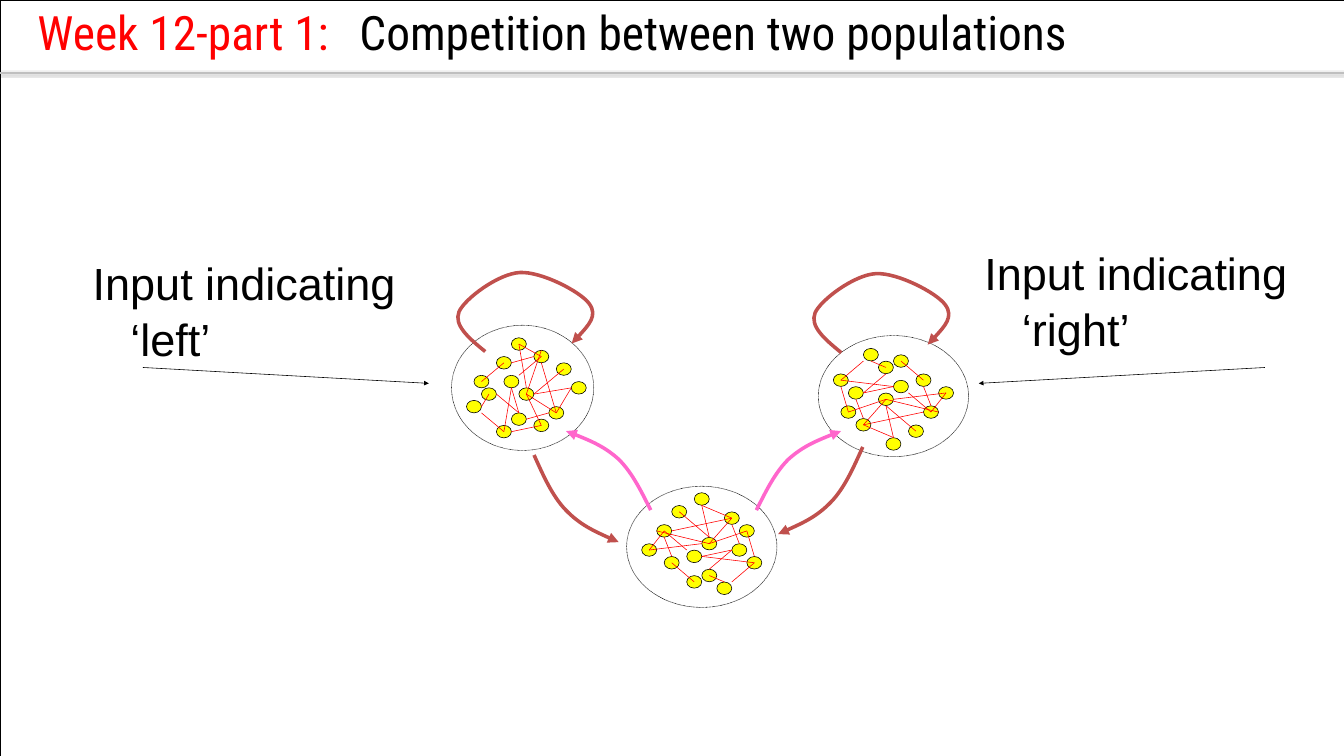
"""Build a slide on competition between two populations of neurons."""
from lxml import etree
from pptx import Presentation
from pptx.dml.color import RGBColor
from pptx.enum.dml import MSO_LINE
from pptx.enum.shapes import MSO_CONNECTOR, MSO_SHAPE
from pptx.enum.text import MSO_ANCHOR, MSO_AUTO_SIZE, PP_ALIGN
from pptx.oxml.ns import qn
from pptx.util import Cm, Pt

OVAL, RECT = MSO_SHAPE.OVAL, MSO_SHAPE.RECTANGLE
STRAIGHT, DOTS = MSO_CONNECTOR.STRAIGHT, MSO_LINE.ROUND_DOT
LEFT, TOP, FIXED = PP_ALIGN.LEFT, MSO_ANCHOR.TOP, MSO_AUTO_SIZE.NONE

WIDE, HIGH = 60.02, 33.76
COLORS = {"black": "000000", "red": "FF0000", "yellow": "FFFF00",
          "brick": "C0504D", "pink": "FF66CC", "grey": "BFBFBF"}
TITLE = [("Week 12-part 1:", "red"),
         ("\tCompetition between two populations", "black")]
COLS, ROWS = 20, 19
NODES = [(7, 3), (9, 5), (11, 4), (10, 17), (17, 9), (14, 7), (9, 10),
         (11, 8), (13, 15), (15, 12), (4, 12), (3, 7), (6, 14), (5, 9)]
LINKS = [((9, 11), (10, 16)), ((12, 9), (15, 12)), ((6, 14), (14, 12)),
         ((9, 11), (13, 15)), ((5, 10), (6, 13)), ((14, 8), (15, 11)),
         ((11, 4), (14, 7)), ((9, 6), (6, 9)), ((6, 4), (3, 7)),
         ((3, 8), (4, 12)), ((6, 9), (10, 8)), ((17, 9), (10, 10)),
         ((6, 14), (10, 16)), ((7, 4), (9, 5)), ((3, 7), (10, 8)),
         ((6, 14), (9, 10)), ((4, 12), (9, 10)), ((17, 9), (15, 12)),
         ((9, 10), (16, 12))]
NODE = (0.67, 0.56)
NETS = [((23.34, 17.32), (6.35, 5.59), 270),
        ((39.9, 17.69), (6.71, 5.41), 0),
        ((31.34, 24.42), (6.71, 5.41), 180)]
LOOP = [(-0.71, -0.58), (-1.42, -1.17), (-1.17, -1.78),
        (-0.91, -2.36), (0.58, -3.48), (1.55, -3.53),
        (2.51, -3.58), (4.27, -2.67), (4.65, -2.13),
        (5.03, -1.6), (4.45, -0.97), (3.86, -0.36)]
DOWN = [(0.41, 0.91), (0.81, 1.83), (1.42, 2.46),
        (2.06, 3.12), (2.92, 3.51), (3.78, 3.89)]
RISE = [(0.41, -0.81), (0.81, -1.65), (1.42, -2.26),
        (2.06, -2.84), (2.92, -3.2), (3.78, -3.53)]
CURVES = [(LOOP, (21.67, 15.7), 1, "brick"), (LOOP, (37.57, 15.75), 1, "brick"),
          (DOWN, (23.85, 20.32), 1, "brick"), (DOWN, (38.53, 19.96), -1, "brick"),
          (RISE, (33.78, 22.78), 1, "pink"), (RISE, (29.06, 22.78), -1, "pink")]
INPUTS = [("‘left’", (3.89, 11.28), (6.38, 16.41), (19.15, 17.12)),
          ("‘right’", (43.71, 10.82), (56.49, 16.41), (43.71, 17.12))]


def rgb(name):
    return RGBColor.from_string(COLORS[name])


def stroke(item, color, width):
    item.line.color.rgb = rgb(color)
    item.line.width = Pt(width)


def arrow(item):
    line = item.element.spPr.find(qn("a:ln"))
    etree.SubElement(line, qn("a:tailEnd"), type="triangle")


def shape(host, kind, mid, size, fill=None):
    (x, y), (w, h) = mid, size
    item = host.add_shape(kind, Cm(x - w / 2), Cm(y - h / 2), Cm(w), Cm(h))
    item.shadow.inherit = False
    if fill:
        item.fill.solid()
        item.fill.fore_color.rgb = rgb(fill)
    else:
        item.fill.background()
    stroke(item, "black", 0.75)
    return item


def join(host, start, end, color, width=0.75):
    item = host.add_connector(STRAIGHT, *map(Cm, start + end))
    stroke(item, color, width)
    etree.SubElement(item.element.spPr, qn("a:effectLst"))
    return item


def net(shapes, mid, size, turn):
    def place(spot):
        u, v = spot[0] / COLS - 0.5, spot[1] / ROWS - 0.5
        u, v = {0: (u, v), 180: (-u, -v), 270: (v, -u)}[turn]
        return mid[0] + u * size[0], mid[1] + v * size[1]

    group = shapes.add_group_shape().shapes
    shape(group, OVAL, mid, size).line.dash_style = DOTS
    for spot in NODES:
        shape(group, OVAL, place(spot), NODE, "yellow")
    for start, end in LINKS:
        join(group, place(start), place(end), "red")


def curve(shapes, steps, start, side, color):
    x, y = start
    spots = [(Cm(x + side * dx), Cm(y + dy)) for dx, dy in steps]
    pen = shapes.build_freeform(Cm(x), Cm(y))
    pen.add_line_segments(spots, close=False)
    item = pen.convert_to_shape()
    item.shadow.inherit = False
    item.fill.background()
    stroke(item, color, 4.5)
    arrow(item)
    parts = list(item.element.iter(qn("a:lnTo")))
    for i in range(0, len(parts), 3):
        bend = etree.Element(qn("a:cubicBezTo"))
        parts[i].addprevious(bend)
        for part in parts[i:i + 3]:
            bend.append(part[0])
            part.getparent().remove(part)


def write(para, text, font, size, color):
    run = para.add_run()
    run.text = text
    run.font.name = font
    run.font.size = Pt(size)
    run.font.color.rgb = rgb(color)


def label(shapes, side, spot, start, end):
    arrow(join(shapes, start, end, "black"))
    box = shapes.add_textbox(*map(Cm, spot + (14.2, 5.13)))
    frame = box.text_frame
    frame.word_wrap = False
    write(frame.paragraphs[0], "Input indicating", "Arial", 57, "black")
    para = frame.add_paragraph()
    para.space_before = Pt(3)
    props = para._p.get_or_add_pPr()
    props.set("marL", str(Cm(1.68)))
    props.set("indent", "0")
    write(para, side, "Arial", 57, "black")


def head(shapes):
    rule = join(shapes, (0, 3.25), (WIDE, 3.25), "grey", 2)
    glow = etree.SubElement(rule.element.spPr.find(qn("a:effectLst")),
                            qn("a:outerShdw"), blurRad=str(Pt(3.1)),
                            dist=str(Pt(1.6)), dir="5400000", rotWithShape="0")
    tone = etree.SubElement(glow, qn("a:srgbClr"), val=COLORS["black"])
    etree.SubElement(tone, qn("a:alpha"), val="38000")
    title = shapes.title
    title.left, title.top, title.width, title.height = map(
        Cm, (1.42, 0, 57.94, 4.09))
    frame = title.text_frame
    frame.vertical_anchor = TOP
    frame.auto_size = FIXED
    frame.word_wrap = True
    para = frame.paragraphs[0]
    para.alignment = LEFT
    tabs = etree.SubElement(para._p.get_or_add_pPr(), qn("a:tabLst"))
    etree.SubElement(tabs, qn("a:tab"), pos=str(Cm(14.38)), algn="l")
    for text, color in TITLE:
        write(para, text, "Roboto Condensed", 60, color)


def main():
    deck = Presentation()
    deck.slide_width, deck.slide_height = Cm(WIDE), Cm(HIGH)
    shapes = deck.slides.add_slide(deck.slide_layouts[5]).shapes
    shape(shapes, RECT, (WIDE / 2, HIGH / 2), (WIDE, HIGH))
    for item in NETS:
        net(shapes, *item)
    for item in CURVES:
        curve(shapes, *item)
    for item in INPUTS:
        label(shapes, *item)
    head(shapes)
    deck.save("out.pptx")


if __name__ == "__main__":
    main()
